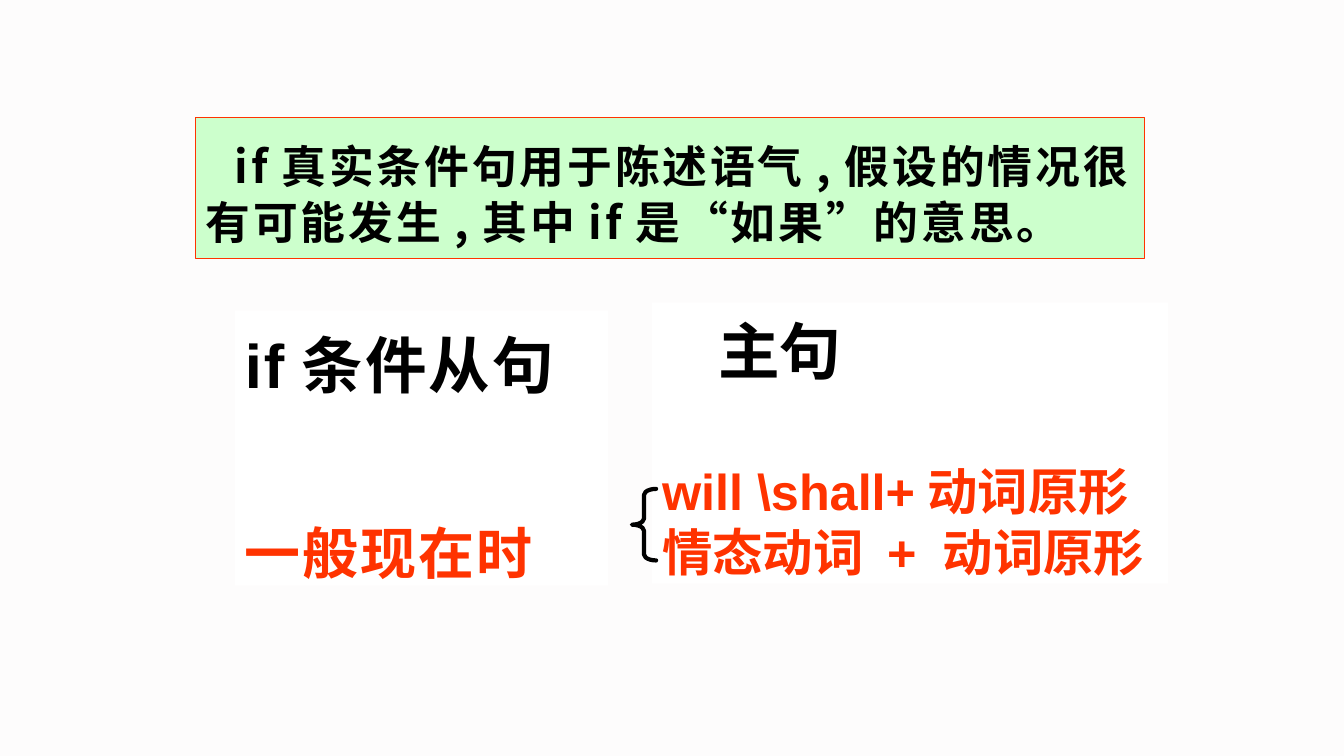
from lxml.etree import SubElement
from pptx import Presentation
from pptx.dml.color import RGBColor
from pptx.enum.shapes import MSO_SHAPE as Shape
from pptx.enum.text import MSO_ANCHOR as Anchor, PP_ALIGN as Align
from pptx.oxml.ns import qn
from pptx.util import Pt

BACKGROUND = RGBColor(0xFD, 0xFC, 0xFC)
GREEN = RGBColor(0xCC, 0xFF, 0xCC)
WHITE = RGBColor(0xFF, 0xFF, 0xFF)
BLACK = RGBColor(0, 0, 0)
RED = RGBColor(0xFF, 0x33, 0)
LATIN = "Arial"
CHINESE = "Noto Sans CJK SC"
RULE_FONT = "Noto Sans CJK JP"


def add_panel(page, box, fill, line=None, anchor=Anchor.TOP):
    """Draw a filled rectangle and return its text frame."""
    panel = page.shapes.add_shape(Shape.RECTANGLE, *map(Pt, box))
    panel.shadow.inherit = False
    panel.fill.solid()
    panel.fill.fore_color.rgb = fill
    if line is None:
        panel.line.fill.background()
    else:
        panel.line.color.rgb = line
        panel.line.width = Pt(0.75)
    frame = panel.text_frame
    frame.word_wrap = True
    frame.vertical_anchor = anchor
    frame.margin_left = frame.margin_right = Pt(7.2)
    frame.margin_top = frame.margin_bottom = Pt(3.6)
    return frame


def style_span(span, size, color, latin, asian, spacing=0):
    """Format one bold run with its Latin and Chinese fonts."""
    font = span.font
    font.name, font.size, font.bold = latin, Pt(size), True
    font.color.rgb = color
    properties = font._element
    SubElement(properties, qn("a:ea")).set("typeface", asian)
    if spacing:
        properties.set("spc", str(int(spacing * 100)))


def set_layout(para, height, before=0, indent=0):
    """Left-align a paragraph and set its line height, gap and indent."""
    para.alignment = Align.LEFT
    para.line_spacing = Pt(height)
    para.space_before = Pt(before)
    para._p.get_or_add_pPr().set("indent", str(Pt(indent)))


def add_rule(page, box):
    """Add the green box that explains the conditional."""
    frame = add_panel(page, box, GREEN, RED, Anchor.MIDDLE)
    frame.margin_top = Pt(10)
    para = frame.paragraphs[0]
    set_layout(para, 40, indent=21)
    pieces = [
        ("if真实条件句用于陈述语气,假设的情况很有可能发生,其中if是", RULE_FONT),
        ("“", LATIN),
        ("如果", RULE_FONT),
        ("”", LATIN),
        ("的意思。", RULE_FONT),
    ]
    for text, latin in pieces:
        span = para.add_run()
        span.text = text
        style_span(span, 32, BLACK, latin, RULE_FONT, 2)


def add_clause(page, box, lines, spacing=0):
    """Add a white clause panel from (text, size, colour, height, gap, indent)."""
    frame = add_panel(page, box, WHITE)
    frame.text = "\n".join(line[0] for line in lines)
    for para, (_, size, color, height, before, indent) in zip(frame.paragraphs, lines):
        set_layout(para, height, before, indent)
        style_span(para.runs[0], size, color, LATIN, CHINESE, spacing)


def add_brace(page, box):
    """Add the brace that groups the verb forms."""
    brace = page.shapes.add_shape(Shape.LEFT_BRACE, *map(Pt, box))
    brace.shadow.inherit = False
    brace.adjustments[0], brace.adjustments[1] = 0.25, 0.5
    brace.fill.background()
    brace.line.color.rgb = BLACK
    brace.line.width = Pt(3)
    brace.line._ln.set("cap", "rnd")


def main():
    """Build the slide and save the deck."""
    deck = Presentation()
    deck.slide_width, deck.slide_height = Pt(960), Pt(540)
    page = deck.slides.add_slide(deck.slide_layouts[6])
    page.background.fill.solid()
    page.background.fill.fore_color.rgb = BACKGROUND
    add_rule(page, (139.7, 84.2, 677.5, 100.8))
    add_clause(page, (167.8, 221.8, 266.4, 196.6), [
        ("if条件从句", 44, BLACK, 61, 0, 0),
        ("一般现在时", 40, RED, 61, 71, 0),
    ], 1.5)
    add_clause(page, (465.8, 216, 368.6, 200.9), [
        ("主句", 44, BLACK, 57, 0, 40),
        ("will \\shall+动词原形", 36, RED, 43.6, 52, 0),
        ("情态动词 + 动词原形", 36, RED, 43.6, 0, 0),
    ])
    add_brace(page, (451.4, 349.2, 17.3, 51.1))
    deck.save("out.pptx")


if __name__ == "__main__":
    main()
